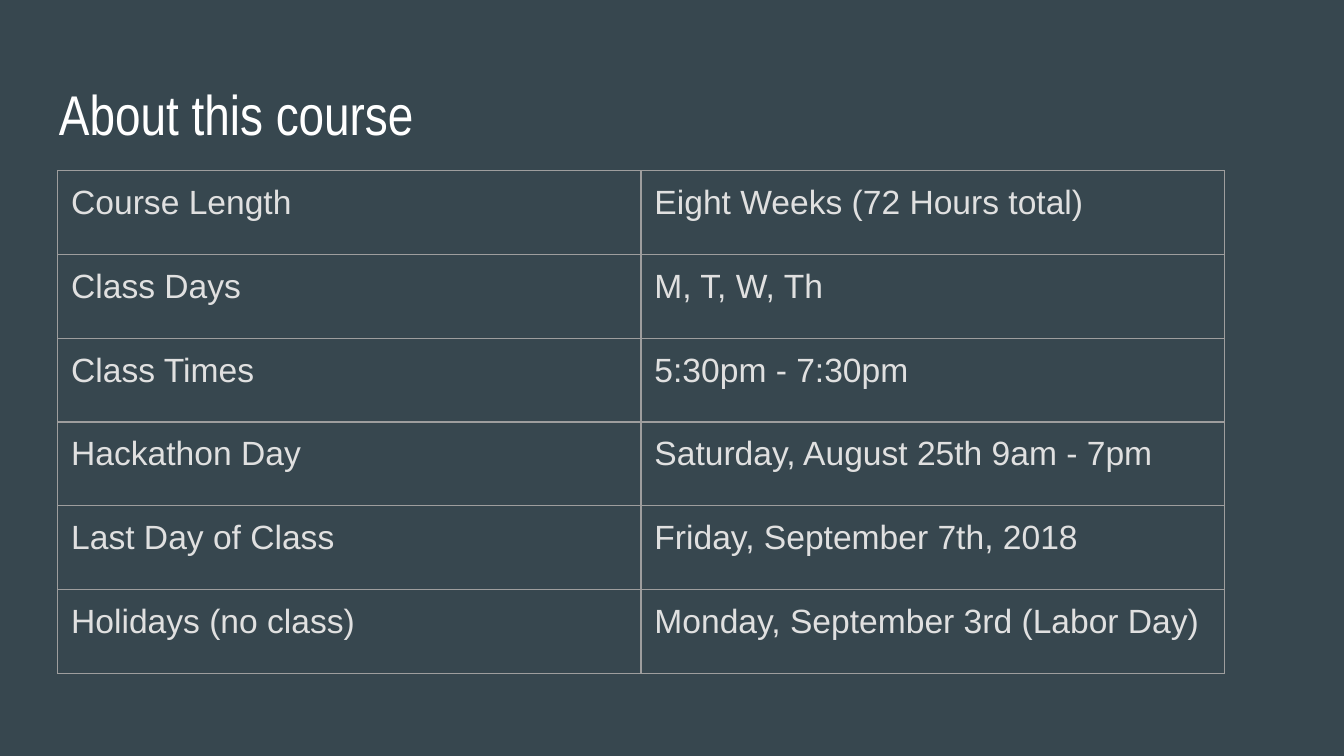
from lxml.etree import SubElement
from pptx import Presentation
from pptx.dml.color import RGBColor
from pptx.enum.text import MSO_ANCHOR
from pptx.oxml.ns import qn
from pptx.util import Inches, Pt

SLIDE_WIDTH = Inches(10)
SLIDE_HEIGHT = SLIDE_WIDTH * 9 // 16
BACKGROUND = "37474F"
BORDER = "9E9E9E"
TITLE_FONT = {"name": "Arial Narrow", "size": Pt(30), "color": "FFFFFF"}
CELL_FONT = {"name": "Arial", "size": Pt(18), "color": "E0E0E0"}
INSET = Inches(0.1)
MARGINS = {"margin_left": INSET, "margin_right": INSET,
           "margin_top": INSET, "margin_bottom": INSET}

COURSE_FACTS = [
    ("Course Length", "Eight Weeks (72 Hours total)"),
    ("Class Days", "M, T, W, Th"),
    ("Class Times", "5:30pm - 7:30pm"),
    ("Hackathon Day", "Saturday, August 25th 9am - 7pm"),
    ("Last Day of Class", "Friday, September 7th, 2018"),
    ("Holidays (no class)", "Monday, September 3rd (Labor Day)"),
]


def rgb(value):
    return RGBColor.from_string(value)


def set_values(target, values):
    for name, value in values.items():
        setattr(target, name, value)


def write(tf, text, style):
    r = tf.paragraphs[0].add_run()
    r.text = text
    for name, value in style.items():
        if name == "color":
            r.font.color.rgb = rgb(value)
        else:
            setattr(r.font, name, value)


def add_title(s, text):
    box = s.shapes.add_textbox(Inches(0.34), Inches(0.49), Inches(9.32), Inches(0.63))
    tf = box.text_frame
    set_values(tf, {**MARGINS, "word_wrap": True, "vertical_anchor": MSO_ANCHOR.TOP})
    write(tf, text, TITLE_FONT)


def add_borders(cell, color, width):
    """Draw all four sides; called before any fill, as the schema puts lines first."""
    tc_pr = cell._tc.get_or_add_tcPr()
    for side in ("a:lnL", "a:lnR", "a:lnT", "a:lnB"):
        line = SubElement(tc_pr, qn(side), w=str(width))
        fill = SubElement(line, qn("a:solidFill"))
        SubElement(fill, qn("a:srgbClr"), val=color)


def add_facts_table(s, facts):
    rows, cols = len(facts), len(facts[0])
    width, height = Inches(8.68), Inches(3.74)
    table = s.shapes.add_table(rows, cols, Inches(0.43), Inches(1.27),
                               width, height).table
    set_values(table, {"first_row": False, "horz_banding": False})
    for column in table.columns:
        column.width = width // cols
    for row, texts in zip(table.rows, facts):
        row.height = height // rows
        for cell, text in zip(row.cells, texts):
            set_values(cell, MARGINS)
            add_borders(cell, BORDER, Pt(0.75))
            cell.fill.background()
            write(cell.text_frame, text, CELL_FONT)


def main():
    prs = Presentation()
    set_values(prs, {"slide_width": SLIDE_WIDTH, "slide_height": SLIDE_HEIGHT})
    s = prs.slides.add_slide(prs.slide_layouts[6])
    s.background.fill.solid()
    s.background.fill.fore_color.rgb = rgb(BACKGROUND)
    add_title(s, "About this course")
    add_facts_table(s, COURSE_FACTS)
    prs.save("out.pptx")


if __name__ == "__main__":
    main()
